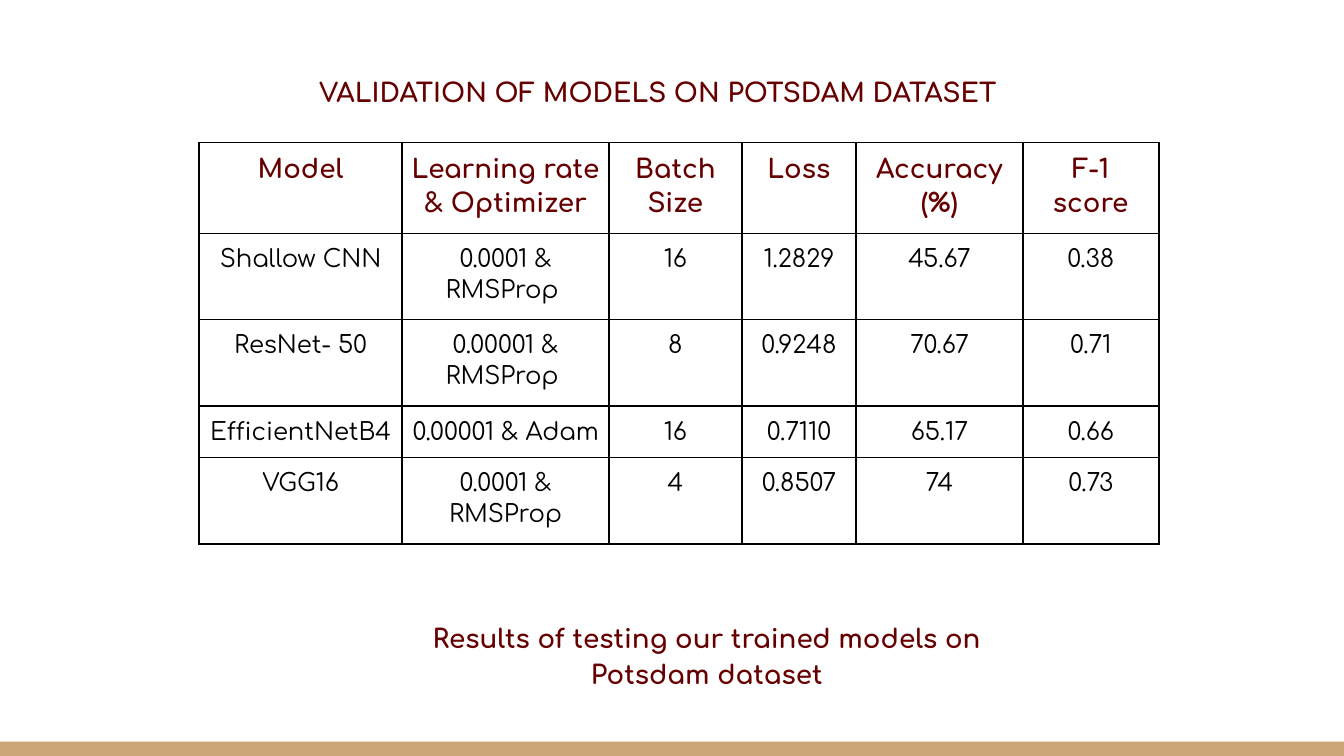
from lxml import etree
from pptx import Presentation
from pptx.dml.color import RGBColor
from pptx.enum.shapes import MSO_SHAPE
from pptx.enum.text import MSO_ANCHOR, PP_ALIGN
from pptx.oxml.ns import qn
from pptx.util import Cm, Pt

RECTANGLE = MSO_SHAPE.RECTANGLE
CENTER = PP_ALIGN.CENTER
TOP = MSO_ANCHOR.TOP
MAROON = RGBColor(0x66, 0x00, 0x00)
BLACK = RGBColor(0x00, 0x00, 0x00)
TAN = RGBColor(0xCC, 0xA6, 0x77)
FONT = "Comfortaa"

TITLE = "VALIDATION OF MODELS ON POTSDAM DATASET"
CAPTION = "Results of testing our trained models on Potsdam dataset"
HEADER = ["Model", "Learning rate & Optimizer", "Batch Size", "Loss", "Accuracy\n(%)", "F-1 score"]
RESULTS = [
    ["Shallow CNN", "0.0001 & RMSProp ", "16", "1.2829", "45.67", "0.38"],
    ["ResNet- 50", "0.00001 & RMSProp ", "8", "0.9248", "70.67", "0.71"],
    ["EfficientNetB4", "0.00001 & Adam", "16", "0.7110", "65.17", "0.66"],
    ["VGG16", "0.0001 & RMSProp", "4", "0.8507", "74", "0.73"],
]
COLUMN_WIDTHS = [3.84, 3.91, 2.51, 2.16, 3.15, 2.57]
ROW_HEIGHTS = [1.72, 1.63, 1.63, 0.98, 1.63]
CELL_MARGIN = 0.17


def write_text(frame, text, size=14, color=MAROON, bold=True, spacing=1.15):
    frame.text = text
    for para in frame.paragraphs:
        para.alignment = CENTER
        para.line_spacing = spacing
        for span in para.runs:
            span.font.name = FONT
            span.font.size = Pt(size)
            span.font.bold = bold
            span.font.color.rgb = color


def set_margins(holder, margin):
    holder.margin_left = holder.margin_right = Cm(margin)
    holder.margin_top = holder.margin_bottom = Cm(margin)


def add_text(page, left, top, width, height, text, **style):
    box = page.shapes.add_textbox(Cm(left), Cm(top), Cm(width), Cm(height))
    box.text_frame.word_wrap = True
    set_margins(box.text_frame, 0.25)
    write_text(box.text_frame, text, **style)


def add_borders(cell):
    properties = cell._tc.get_or_add_tcPr()
    for index, side in enumerate(("lnL", "lnR", "lnT", "lnB")):
        line = etree.Element(qn(f"a:{side}"), w=str(Pt(1)))
        fill = etree.SubElement(line, qn("a:solidFill"))
        etree.SubElement(fill, qn("a:srgbClr"), val=str(BLACK))
        properties.insert(index, line)


def add_results_table(page, left, top):
    rows = [HEADER] + RESULTS
    frame = page.shapes.add_table(
        len(rows), len(HEADER), Cm(left), Cm(top),
        Cm(sum(COLUMN_WIDTHS)), Cm(sum(ROW_HEIGHTS)))
    table = frame.table
    table.first_row = table.horz_banding = False
    for column, width in zip(table.columns, COLUMN_WIDTHS):
        column.width = Cm(width)
    for row, height, values in zip(table.rows, ROW_HEIGHTS, rows):
        row.height = Cm(height)
        style = {} if values is HEADER else {"size": 13, "color": BLACK, "bold": False}
        for cell, value in zip(row.cells, values):
            write_text(cell.text_frame, value, **style)
            set_margins(cell, CELL_MARGIN)
            cell.vertical_anchor = TOP
            cell.fill.background()
            add_borders(cell)


def main():
    deck = Presentation()
    deck.slide_width, deck.slide_height = Cm(25.4), Cm(14.29)
    page = deck.slides.add_slide(deck.slide_layouts[6])

    footer = page.shapes.add_shape(RECTANGLE, 0, Cm(14.02), deck.slide_width, Cm(0.27))
    footer.shadow.inherit = False
    footer.fill.solid()
    footer.fill.fore_color.rgb = TAN
    footer.line.fill.background()

    add_results_table(page, 3.76, 2.69)
    add_text(page, 6.78, 11.43, 13.16, 1.8, CAPTION)
    add_text(page, 4.22, 1.19, 16.43, 1.12, TITLE, spacing=1.0)
    deck.save("out.pptx")


if __name__ == "__main__":
    main()
